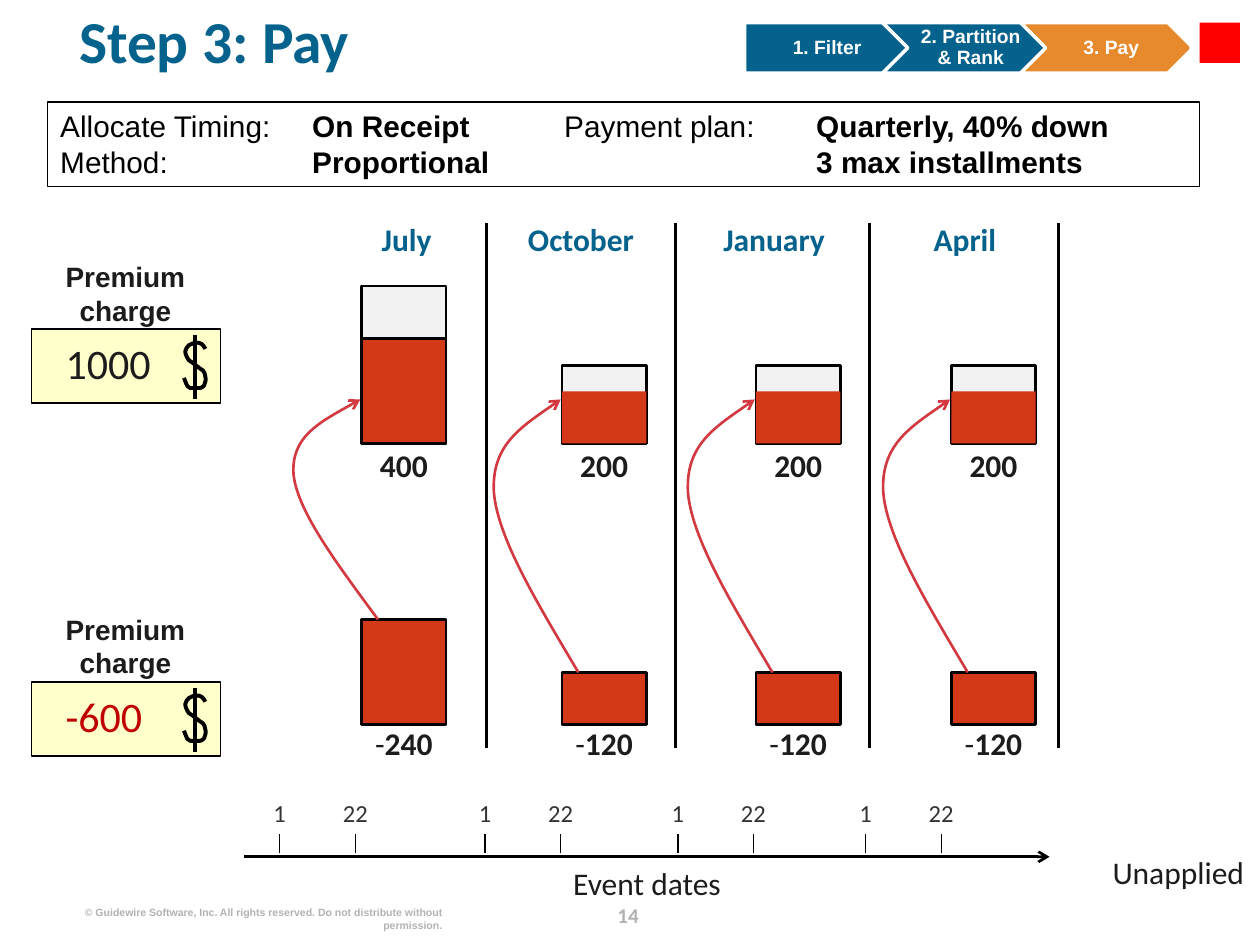
import dataclasses

import lxml.etree
import pptx
import pptx.dml.color
import pptx.enum.shapes
import pptx.enum.text
import pptx.oxml.ns
import pptx.util

Inches = pptx.util.Inches
Pt = pptx.util.Pt
qn = pptx.oxml.ns.qn
ALIGN = pptx.enum.text.PP_ALIGN
ANCHOR = pptx.enum.text.MSO_ANCHOR
SHAPE = pptx.enum.shapes.MSO_SHAPE


@dataclasses.dataclass(frozen=True)
class Style:
    size: float
    color: str
    font: str = "Calibri"
    bold: bool = False


@dataclasses.dataclass(frozen=True)
class Theme:
    black: str = "000000"
    white: str = "FFFFFF"
    blue: str = "04628C"
    orange: str = "E78A2D"
    red: str = "D33819"
    arrow: str = "D33941"
    grey: str = "F2F2F2"
    cream: str = "FFFFCC"
    marker: str = "FF0000"
    title: Style = Style(34, "04628C", bold=True)
    month: Style = Style(18, "04628C", bold=True)
    body: Style = Style(18, "1C1C1C")
    value: Style = Style(24, "1C1C1C")
    credit: Style = Style(24, "C00000")
    charge: Style = Style(16, "1C1C1C", "Arial", True)
    step: Style = Style(11, "FFFFFF", "Arial", True)
    terms: Style = Style(17, "000000", "Arial")
    date: Style = Style(14, "333333")
    number: Style = Style(12, "B2B2B2", bold=True)
    rights: Style = Style(6, "B2B2B2", "Arial", True)


THEME = Theme()
DOLLAR = [
    (1.38, 0.16), (1.37, 0.15), (1.37, 0.13), (1.35, 0.12), (1.34, 0.11), (1.32, 0.11),
    (1.30, 0.11), (1.29, 0.11), (1.27, 0.12), (1.25, 0.13), (1.24, 0.14), (1.22, 0.16),
    (1.22, 0.18), (1.22, 0.20), (1.24, 0.24), (1.25, 0.25), (1.26, 0.26), (1.27, 0.26),
    (1.28, 0.27), (1.29, 0.28), (1.32, 0.30), (1.33, 0.31), (1.34, 0.32), (1.35, 0.32),
    (1.36, 0.33), (1.37, 0.34), (1.38, 0.36), (1.38, 0.38), (1.39, 0.39), (1.38, 0.41),
    (1.38, 0.42), (1.38, 0.43), (1.38, 0.44), (1.37, 0.45), (1.36, 0.46), (1.35, 0.47),
    (1.34, 0.47), (1.33, 0.47), (1.32, 0.47), (1.30, 0.47), (1.29, 0.47), (1.27, 0.47),
    (1.26, 0.47), (1.24, 0.46), (1.23, 0.45), (1.23, 0.44), (1.22, 0.42), (1.22, 0.41),
    (1.21, 0.39),
]
SWEEP = [(0, 0), (-0.32, 0.25), (-0.64, 0.49), (-0.67, 0.66),
         (-0.69, 0.83), (-0.42, 0.91), (-0.14, 1)]


def rgb(color):
    return pptx.dml.color.RGBColor.from_string(color)


def stroke(shape, color, width, arrow=False):
    shape.line.color.rgb = rgb(color)
    shape.line.width = Pt(width)
    if arrow:
        outline = shape._element.spPr.find(qn("a:ln"))
        lxml.etree.SubElement(outline, qn("a:tailEnd"), type="arrow")


def add_block(page, box, fill=None, line=None, width=1.5, kind=SHAPE.RECTANGLE):
    shape = page.shapes.add_shape(kind, *map(Inches, box))
    shape.shadow.inherit = False
    if fill:
        shape.fill.solid()
        shape.fill.fore_color.rgb = rgb(fill)
    else:
        shape.fill.background()
    if line:
        stroke(shape, line, width)
    else:
        shape.line.fill.background()
    return shape


def add_rule(page, start, end, width=1.5, arrow=False):
    rule = page.shapes.add_connector(
        pptx.enum.shapes.MSO_CONNECTOR.STRAIGHT, *map(Inches, start + end))
    stroke(rule, THEME.black, width, arrow)
    lxml.etree.SubElement(rule._element.spPr, qn("a:effectLst"))


def add_curve(page, controls, color, width, arrow=False):
    corners = [tuple(map(Inches, point)) for point in controls]
    builder = page.shapes.build_freeform(*corners[0])
    builder.add_line_segments(corners[1:], close=False)
    curve = builder.convert_to_shape()
    segments = list(curve._element.iter(qn("a:lnTo")))
    for first in range(0, len(segments), 3):
        bend = lxml.etree.Element(qn("a:cubicBezTo"))
        segments[first].addprevious(bend)
        for segment in segments[first:first + 3]:
            bend.append(segment[0])
            segment.getparent().remove(segment)
    curve.shadow.inherit = False
    curve.fill.background()
    stroke(curve, color, width, arrow)


def add_span(para, text, style, bold=None):
    span = para.add_run()
    span.text = text
    span.font.name = style.font
    span.font.size = Pt(style.size)
    span.font.bold = style.bold if bold is None else bold
    span.font.color.rgb = rgb(style.color)


def add_text(page, box, text, style, align=ALIGN.CENTER, wrap=False, spacing=0.95,
             margins=(0, 0, 0, 0), anchor=ANCHOR.TOP, fill=None):
    if fill:
        frame = add_block(page, box, fill).text_frame
    else:
        frame = page.shapes.add_textbox(*map(Inches, box)).text_frame
    frame.word_wrap = wrap
    if not wrap:
        frame.auto_size = pptx.enum.text.MSO_AUTO_SIZE.SHAPE_TO_FIT_TEXT
    frame.vertical_anchor = anchor
    (frame.margin_left, frame.margin_top,
     frame.margin_right, frame.margin_bottom) = map(Inches, margins)
    para = frame.paragraphs[0]
    para.alignment = align
    para.line_spacing = spacing
    add_span(para, text, style)
    return para


def add_steps(page, box):
    left, top, width, height = box
    steps = [("1. Filter", SHAPE.PENTAGON, THEME.blue, 0, 1.27, 0.06),
             ("2. Partition & Rank", SHAPE.CHEVRON, THEME.blue, 0.2, 0.97, 0.05),
             (" 3. Pay", SHAPE.CHEVRON, THEME.orange, 0.2, 0.97, 0.05)]
    for index, (text, kind, fill, inset, room, margin) in enumerate(steps):
        x = left + index * 1.095
        add_block(page, (x, top, 1.37, height), fill, THEME.white, 2, kind)
        add_text(page, (x + inset, top, room, height), text, THEME.step, wrap=True,
                 spacing=0.9, margins=(margin, 0.03, 0.02, 0.03), anchor=ANCHOR.MIDDLE)
    marker = left + width - 0.32
    add_block(page, (marker - 0.08, top - 0.09, 0.47, 0.51), THEME.white)
    add_block(page, (marker, top, 0.32, 0.32), THEME.marker)


def add_terms(page, box):
    frame = add_block(page, box, line=THEME.black, width=0.75).text_frame
    frame.word_wrap = True
    frame.vertical_anchor = ANCHOR.TOP
    para = frame.paragraphs[0]
    para.alignment = ALIGN.LEFT
    stops = lxml.etree.SubElement(para._p.get_or_add_pPr(), qn("a:tabLst"))
    for inches in (2, 4, 6):
        lxml.etree.SubElement(stops, qn("a:tab"), pos=str(Inches(inches)), algn="l")
    for text, bold in [("Allocate Timing:\t", False), ("On Receipt\t", True),
                       ("Payment plan:\t", False), ("Quarterly, 40% down", True)]:
        add_span(para, text, THEME.terms, bold)
    para.add_line_break()
    add_span(para, "Method:\t", THEME.terms, False)
    add_span(para, "Proportional\t\t3 max installments", THEME.terms, True)


def add_charge(page, box, amount, room, style):
    left, top, width, height = box
    add_text(page, (left + 0.02, top, 1.45, 0.54), "Premium charge", THEME.charge,
             wrap=True, spacing=1)
    card = top + 0.55
    add_block(page, (left, card, width, height - 0.55), THEME.cream, THEME.black, 1)
    add_curve(page, [(left + x, card + y) for x, y in DOLLAR], THEME.black, 2.25)
    add_rule(page, (left + 1.3, card + 0.05), (left + 1.3, card + 0.56), 2.25)
    add_text(page, (left + 0.27, card + 0.1, room, 0.38), amount, style, ALIGN.LEFT)


def add_month(page, box, name, name_left, name_width, divider, due, paid, full):
    left, top, width, height = box
    center = left + width / 2
    charge_base, pay_base = top + 1.75, top + 3.98
    part = full * 2 / 3
    pay_top = pay_base - part
    add_rule(page, (divider, top), (divider, top + height))
    add_text(page, (name_left, top, name_width, 0.29), name, THEME.month, ALIGN.LEFT)
    add_block(page, (left, charge_base - full, width, full), THEME.grey, THEME.black)
    add_text(page, (center - 0.19, top + 1.79, 0.38, 0.29), due,
             dataclasses.replace(THEME.body, bold=True))
    add_block(page, (left, pay_top, width, part), THEME.red, THEME.black)
    para = add_text(page, (center - 0.23, top + 4, 0.46, 0.29), "-", THEME.body)
    add_span(para, paid, THEME.body, True)
    rise = pay_top - (top + 1.4)
    add_curve(page, [(left + 0.13 + x, pay_top - y * rise) for x, y in SWEEP],
              THEME.arrow, 1.5, True)
    paid_line = THEME.black if full > 1 else None
    add_block(page, (left, charge_base - part, width, part), THEME.red, paid_line)


def add_timeline(page, box):
    left, top, width, height = box
    axis = top + 0.45
    add_rule(page, (left, axis), (left + width, axis), 1.5, True)
    for month_start in (2.22, 3.85, 5.38, 6.87):
        for x, day, room in ((month_start, "1", 0.1), (month_start + 0.6, "22", 0.2)):
            add_rule(page, (x, axis - 0.18), (x, axis - 0.03), 0.75)
            add_text(page, (x - room / 2, top, room, 0.22), day, THEME.date)
    add_text(page, (4.54, top + height - 0.29, 1.19, 0.29), "Event dates", THEME.body)
    add_text(page, (8.83, axis - 0.01, 1.06, 0.29), "Unapplied", THEME.body,
             ALIGN.LEFT, fill=THEME.white)


def add_footer(page, box):
    left, top, width, height = box
    add_text(page, (left, top + 0.06, 2.9, 0.2),
             "© Guidewire Software, Inc. All rights reserved. "
             "Do not distribute without permission.",
             THEME.rights, ALIGN.RIGHT, True, 1)
    add_text(page, (left + width - 0.57, top - 0.02, 0.51, height), "14", THEME.number,
             wrap=True, spacing=Pt(18))


def build():
    deck = pptx.Presentation()
    deck.slide_width, deck.slide_height = Inches(10), Inches(7.5)
    page = deck.slides.add_slide(deck.slide_layouts[6])
    add_footer(page, (0.61, 7.13, 4.69, 0.25))
    add_charge(page, (0.25, 2.06, 1.5, 1.14), "1000", 0.68, THEME.value)
    add_charge(page, (0.25, 4.86, 1.5, 1.14), "-600", 0.61, THEME.credit)
    months = [(2.87, "July", 3.03, 0.4, 3.86, "400", "240", 1.25),
              (4.46, "October", 4.19, 0.85, 5.36, "200", "120", 0.62),
              (6, "January", 5.74, 0.81, 6.9, "200", "120", 0.62),
              (7.55, "April", 7.41, 0.5, 8.4, "200", "120", 0.62)]
    for left, *details in months:
        add_month(page, (left, 1.77, 0.67, 4.17), *details)
    add_timeline(page, (1.94, 6.35, 6.39, 0.82))
    add_text(page, (0.53, 0.07, 9.1, 0.81), "Step 3: Pay", THEME.title, ALIGN.LEFT, True,
             0.85, (0.1, 0.05, 0.1, 0.05))
    add_terms(page, (0.38, 0.81, 9.14, 0.67))
    add_steps(page, (5.91, 0.18, 3.93, 0.4))
    deck.save("out.pptx")


if __name__ == "__main__":
    build()
